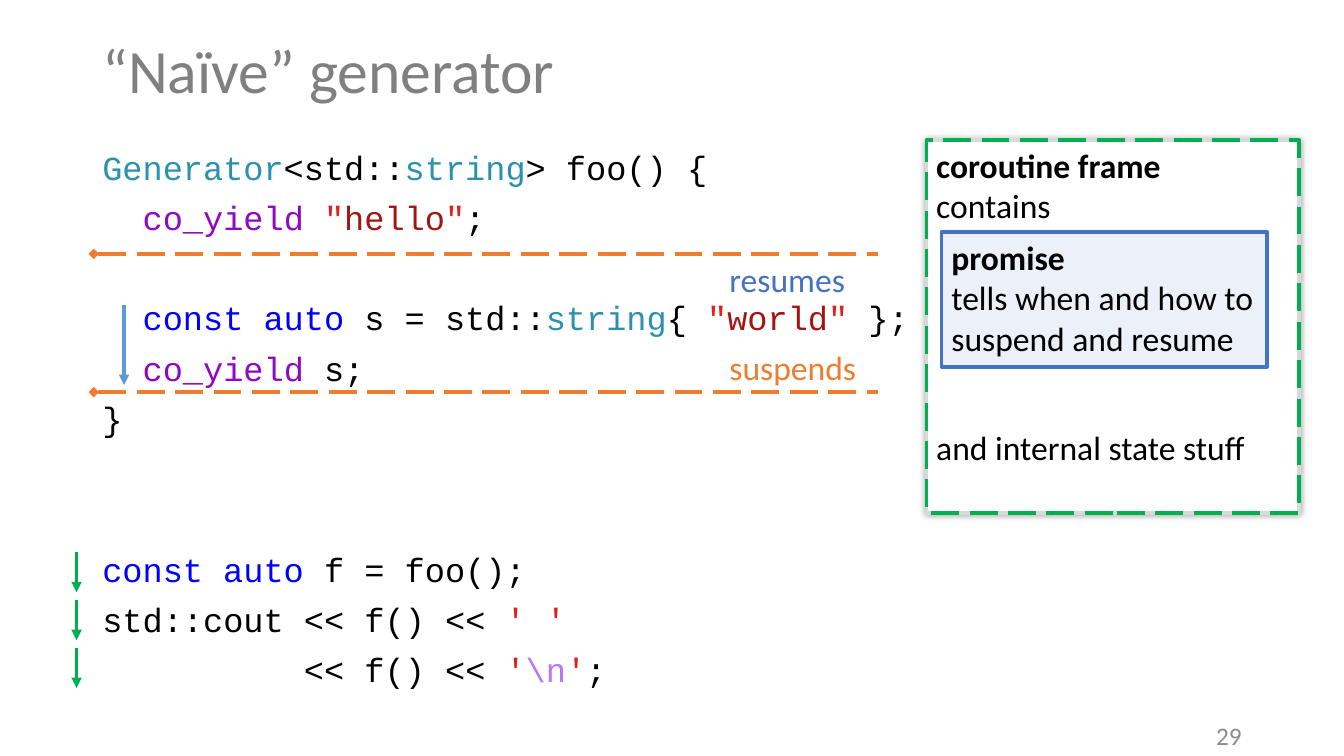
from lxml import etree
from pptx import Presentation
from pptx.dml.color import RGBColor
from pptx.enum.dml import MSO_LINE_DASH_STYLE as DASH
from pptx.enum.shapes import MSO_CONNECTOR, MSO_SHAPE
from pptx.enum.text import MSO_ANCHOR as ANCHOR, PP_ALIGN as ALIGN
from pptx.oxml.ns import qn
from pptx.util import Pt

COLORS = {
    "title": "808080", "number": "8C8C8C", "text": "000000", "white": "FFFFFF",
    "type": "2B91AF", "control": "8F08C4", "keyword": "0000FF",
    "quote": "E21F1F", "string": "A31515", "escape": "B776FB",
    "green": "00B050", "grey": "D9D9D9", "blue": "4472C4",
    "pale": "DAE3F3", "orange": "ED7D31", "sky": "5B9BD5",
}
LINE_WIDTH = 2.5
CODE_GAP, CODE_PITCH = 10, 35.9

# Each line: number of empty lines above it, then (text, colour) tokens
CODE = [
    (0, [("Generator", "type"), ("<std::", "text"), ("string", "type"),
         ("> foo() {", "text")]),
    (0, [("  ", "text"), ("co_yield", "control"), (" ", "text"), ('"', "quote"),
         ("hello", "string"), ('"', "quote"), (";", "text")]),
    (1, [("  ", "text"), ("const", "keyword"), (" ", "text"), ("auto", "keyword"),
         (" s = std::", "text"), ("string", "type"), ("{ ", "text"), ('"', "quote"),
         ("world", "string"), ('"', "quote"), (" };", "text")]),
    (0, [("  ", "text"), ("co_yield", "control"), (" s;", "text")]),
    (0, [("}", "text")]),
    (2, [("const", "keyword"), (" ", "text"), ("auto", "keyword"),
         (" f = foo();", "text")]),
    (0, [("std::cout << f() << ", "text"), ("'", "quote"), (" ", "string"),
         ("'", "quote")]),
    (0, [("          << f() << ", "text"), ("'", "quote"), ("\\n", "escape"),
         ("'", "quote"), (";", "text")]),
]


def rgb(name):
    return RGBColor.from_string(COLORS[name])


def add_run(p, text, color="text", size=24, font="Calibri", bold=False):
    r = p.add_run()
    r.text = text
    r.font.size, r.font.name, r.font.bold = Pt(size), font, bold
    r.font.color.rgb = rgb(color)


def add_title(s, text):
    title = s.shapes.title
    title.left, title.top, title.width, title.height = Pt(66), Pt(0), Pt(828), Pt(104.4)
    tf = title.text_frame
    tf.vertical_anchor = ANCHOR.MIDDLE
    p = tf.paragraphs[0]
    p.alignment, p.line_spacing = ALIGN.LEFT, 0.9
    add_run(p, text, "title", 44)


def add_text_box(s, left, top, width, height):
    tf = s.shapes.add_textbox(Pt(left), Pt(top), Pt(width), Pt(height)).text_frame
    tf.word_wrap = True
    return tf


def add_label(s, text, left, top, width, height, color, size=24,
              align=ALIGN.LEFT, anchor=ANCHOR.TOP):
    tf = add_text_box(s, left, top, width, height)
    tf.vertical_anchor = anchor
    tf.paragraphs[0].alignment = align
    add_run(tf.paragraphs[0], text, color, size)


def add_code(s, left, top, width, height):
    tf = add_text_box(s, left, top, width, height)
    for i, (skipped, tokens) in enumerate(CODE):
        p = tf.add_paragraph() if i else tf.paragraphs[0]
        p.line_spacing = 0.9
        if i:
            p.space_before = Pt(CODE_GAP + skipped * CODE_PITCH)
        for text, color in tokens:
            add_run(p, text, color, font="Courier New")


def add_box(s, left, top, width, height, line, fill=None, dash=None, lines=()):
    """Add a rectangle; lines holds (text, bold, space before)."""
    box = s.shapes.add_shape(MSO_SHAPE.RECTANGLE, Pt(left), Pt(top), Pt(width), Pt(height))
    box.shadow.inherit = False
    if fill:
        box.fill.solid()
        box.fill.fore_color.rgb = rgb(fill)
    else:
        box.fill.background()
    box.line.color.rgb = rgb(line)
    box.line.width = Pt(LINE_WIDTH)
    if dash:
        box.line.dash_style = dash
    tf = box.text_frame
    tf.word_wrap, tf.vertical_anchor = True, ANCHOR.TOP
    for i, (text, bold, gap) in enumerate(lines):
        p = tf.add_paragraph() if i else tf.paragraphs[0]
        p.alignment = ALIGN.LEFT
        if gap:
            p.space_before = Pt(gap)
        add_run(p, text, bold=bold)
    return box


def set_alpha(color, percent):
    etree.SubElement(color, qn("a:alpha"), val=str(percent * 1000))


def add_glow_shadow(box):
    """Give the box a soft shadow spreading evenly to all sides."""
    effects = box._element.spPr.find(qn("a:effectLst"))
    shadow = etree.SubElement(effects, qn("a:outerShdw"), blurRad=str(Pt(5)),
                              dist="0", dir="0", algn="ctr", rotWithShape="0")
    set_alpha(etree.SubElement(shadow, qn("a:srgbClr"), val=COLORS["text"]), 40)


def add_line(s, x1, y1, x2, y2, color, end, kind, dash=None):
    """Add a line with a marker: end is headEnd (start) or tailEnd (finish)."""
    line = s.shapes.add_connector(MSO_CONNECTOR.STRAIGHT, Pt(x1), Pt(y1), Pt(x2), Pt(y2))
    line.line.color.rgb = rgb(color)
    line.line.width = Pt(LINE_WIDTH)
    if dash:
        line.line.dash_style = dash
    spPr = line._element.spPr
    etree.SubElement(spPr.find(qn("a:ln")), qn(f"a:{end}"), type=kind)
    etree.SubElement(spPr, qn("a:effectLst"))


def add_down_arrow(s, x, top, length, color):
    add_line(s, x, top, x, top + length, color, "tailEnd", "triangle")


def main():
    prs = Presentation()
    prs.slide_width, prs.slide_height = Pt(960), Pt(540)
    s = prs.slides.add_slide(prs.slide_layouts[5])

    add_title(s, "“Naïve” generator")
    add_code(s, 66, 104.4, 828, 406.8)
    add_label(s, "29", 678, 511.2, 216, 28.8, "number", 18, ALIGN.RIGHT, ANCHOR.MIDDLE)

    frame = (661.7, 100.1, 266.4, 266.4)
    add_glow_shadow(add_box(s, *frame, "grey", fill="white"))
    add_box(s, *frame, "green", dash=DASH.LONG_DASH, lines=[
        ("coroutine frame", True, 0), ("contains", False, 0),
        ("and internal state stuff", False, 144)])
    promise = add_box(s, 672.5, 165.6, 232.6, 96.5, "blue", fill="pale", lines=[
        ("promise", True, 0), ("tells when and how to suspend and resume", False, 0)])
    set_alpha(promise._element.spPr.find(qn("a:solidFill"))[0], 50)

    for y in (181.4, 280.1):
        add_line(s, 67, y, 627, y, "orange", "headEnd", "diamond", DASH.LONG_DASH)
    add_label(s, "resumes", 514, 181.4, 108, 36, "blue")
    add_label(s, "suspends", 514, 244.1, 108, 36, "orange")
    add_down_arrow(s, 88.6, 218.2, 56.8, "sky")
    for i in range(3):
        add_down_arrow(s, 54.7, 394.6 + 34.2 * i, 28.5, "green")

    prs.save("out.pptx")


if __name__ == "__main__":
    main()
